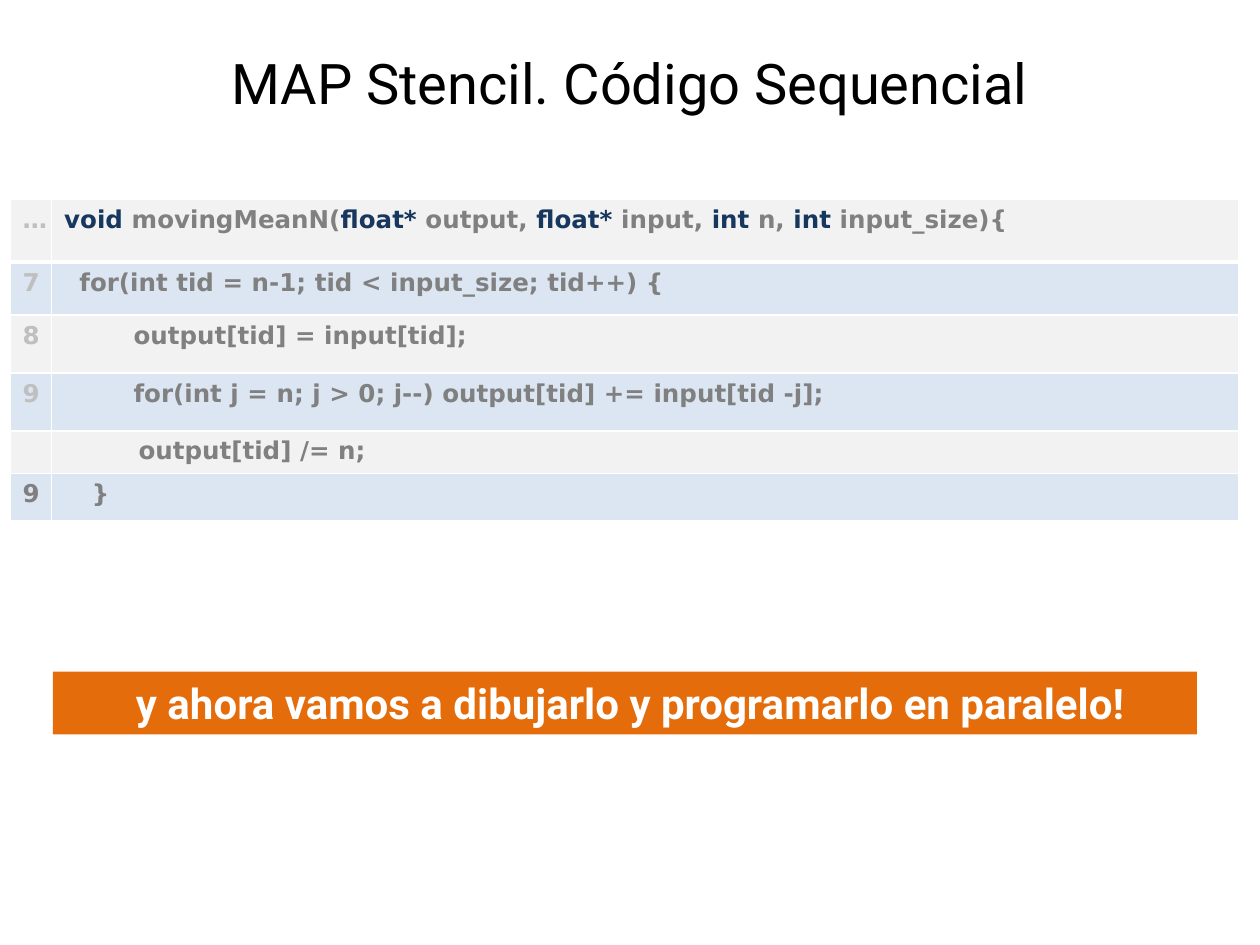
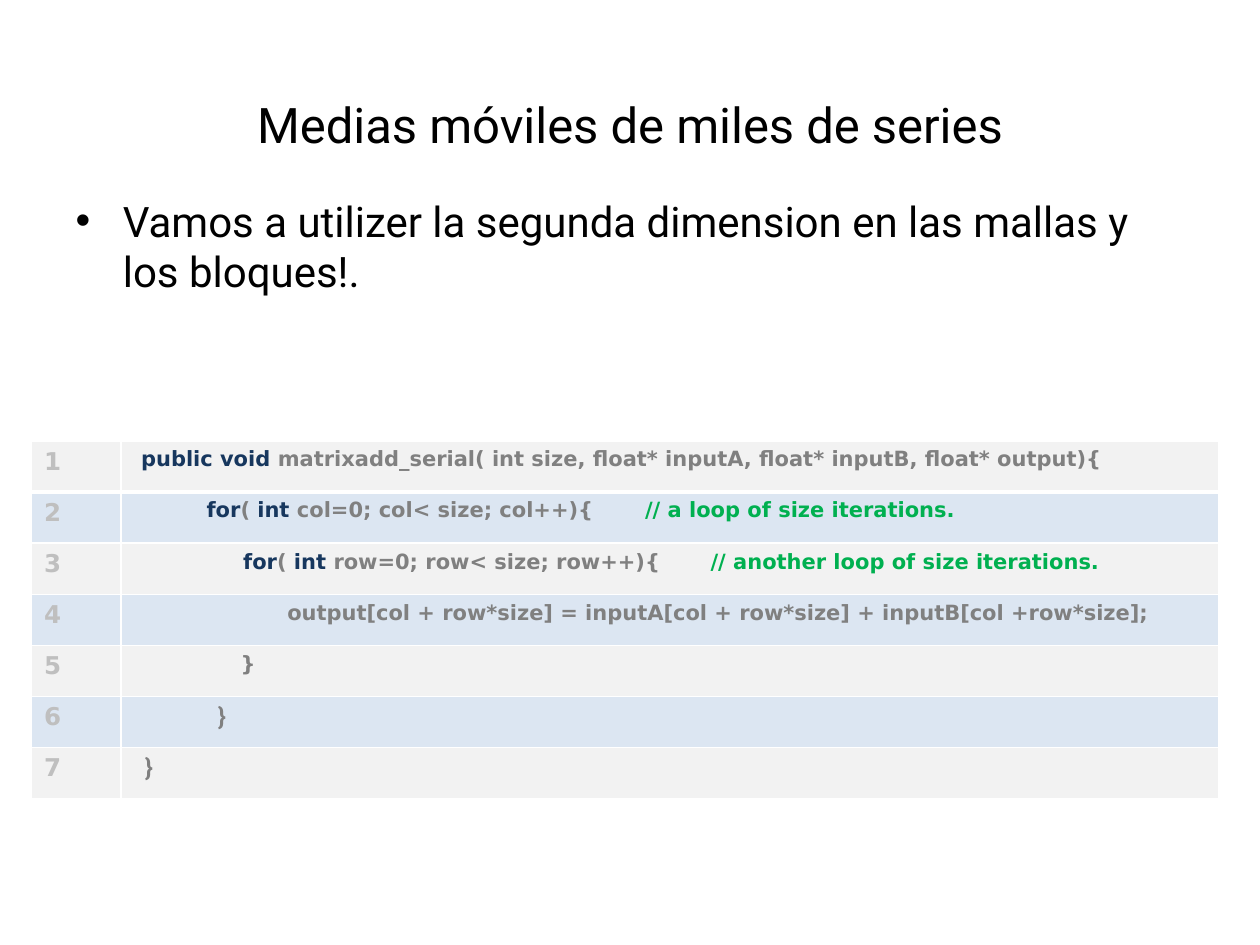
from dataclasses import dataclass

from lxml.etree import SubElement as sub
from pptx import Presentation
from pptx.dml.color import RGBColor as RGB
from pptx.enum.shapes import MSO_SHAPE as Shape
from pptx.enum.text import MSO_ANCHOR as Anchor, PP_ALIGN as Align
from pptx.oxml.ns import qn
from pptx.util import Inches, Pt


@dataclass(frozen=True)
class Theme:
    sans: str = "Roboto"
    mono: str = "DejaVu Sans"
    black: str = "000000"
    white: str = "FFFFFF"
    orange: str = "E46C0A"
    bands: tuple = ("F2F2F2", "DCE6F2")
    number: str = "BFBFBF"
    code: str = "808080"
    keyword: str = "17375E"
    note: str = "00B050"
    body: int = 24
    line: int = 14
    small: int = 12


T = Theme()


@dataclass(frozen=True)
class Line:
    """A row of code: `marks` enclose keywords, a tab starts the comment."""
    number: str
    code: str
    stops: tuple = ()
    face: str = T.mono
    size: int = T.line
    tint: str = T.number


MEAN = [
    Line("…", "`void `movingMeanN(`float*` output, `float* `input, "
         "`int `n, `int `input_size){"),
    Line("7", "for(int tid = n-1; tid < input_size; tid++) {", (0.12,)),
    Line("8", "output[tid] = input[tid];", (0.55,)),
    Line("9", "for(int j = n; j > 0; j--) output[tid] += input[tid -j];", (0.55,)),
    Line("", "output[tid] /= n;", (0.59,)),
    Line("9", "}", (0.22,), tint=T.code),
]
MATRIX = [
    Line("1", "`public void `matrixadd_serial( int size, float* inputA, "
         "float* inputB, float* output){", (0.06,), size=T.small),
    Line("2", "`for`(` int `col=0; col< size; col++){\t// a loop of size iterations.",
         (0.58, 4.06), size=T.small),
    Line("3", "`for`(` int `row=0; row< size; row++){\t// another loop of size iterations.",
         (0.87, 4.58), size=T.small),
    Line("4", "output[col + row*size] = inputA[col + row*size] + "
         "inputB[col +row*size];", (1.22,), size=T.small),
    Line("5", "}", (0.85,), size=T.small),
    Line("6", "}", (0.67,), face=T.sans),
    Line("7", "}", (0.09,), face=T.sans),
]


def style(run, face, size, color, bold=False):
    font = run.font
    font.name, font.size, font.bold = face, Pt(size), bold
    font.color.rgb = RGB.from_string(color)


def place(shape, left, top, width, height):
    shape.left, shape.top = Inches(left), Inches(top)
    shape.width, shape.height = Inches(width), Inches(height)


def write(shape, text, size, color, bold=False, align=None):
    para = shape.text_frame.paragraphs[0]
    para.text = text
    para.alignment = align
    style(para.runs[0], T.sans, size, color, bold)


def add_title(slide, text, top, height, size):
    title = slide.shapes.title
    place(title, 0.5, top, 9, height)
    title.text_frame.vertical_anchor = Anchor.MIDDLE
    write(title, text, size, T.black, align=Align.CENTER)


def add_body(slide, text):
    body = slide.placeholders[1]
    place(body, 0.5, 1.5, 9, 5.2)
    write(body, text, T.body, T.black)


def add_banner(slide, text):
    box = slide.shapes.add_shape(Shape.RECTANGLE, Inches(0.42), Inches(5.33),
                                 Inches(9.08), Inches(0.5))
    box.shadow.inherit = False
    box.fill.solid()
    box.fill.fore_color.rgb = RGB.from_string(T.orange)
    box.line.fill.background()
    frame = box.text_frame
    frame.word_wrap = True
    frame.vertical_anchor = Anchor.TOP
    frame.margin_left = Inches(0.18)
    write(box, text, T.body, T.white, True, Align.CENTER)


def paint(cell, row):
    """Fill a cell by its band and rule it; the edge under row 0 is thick."""
    props = cell._tc.get_or_add_tcPr()
    thick = {"T": row == 1, "B": row == 0}
    for side in "LRTB":
        width = Pt(3 if thick.get(side) else 1)
        edge = sub(props, qn(f"a:ln{side}"), w=str(width))
        sub(sub(edge, qn("a:solidFill")), qn("a:srgbClr"), val=T.white)
    cell.fill.solid()
    cell.fill.fore_color.rgb = RGB.from_string(T.bands[row % 2])


def set_stops(para, stops):
    tabs = sub(para._p.get_or_add_pPr(), qn("a:tabLst"))
    for stop in stops:
        sub(tabs, qn("a:tab"), pos=str(Inches(stop)), algn="l")


def add_run(para, text, line, color):
    run = para.add_run()
    run.text = text
    style(run, line.face, line.size, color, True)


def set_number(cell, line):
    para = cell.text_frame.paragraphs[0]
    if line.number:
        para.text = line.number
        style(para.runs[0], T.mono, T.line, line.tint, True)
    else:
        sub(para._p, qn("a:endParaRPr"), sz=str(T.line * 100))


def set_code(cell, line):
    para = cell.text_frame.paragraphs[0]
    code, tab, note = line.code.partition("\t")
    if line.stops:
        set_stops(para, line.stops)
        add_run(para, "\t", line, T.code)
    for i, part in enumerate(code.split("`")):
        if part:
            add_run(para, part, line, T.keyword if i % 2 else T.code)
    if note:
        add_run(para, tab + note, line, T.note)


def add_code(slide, lines, left, top, widths, heights):
    frame = slide.shapes.add_table(len(lines), 2, Inches(left), Inches(top),
                                   Inches(sum(widths)), Inches(sum(heights)))
    table = frame.table
    for col, width in zip(table.columns, widths):
        col.width = Inches(width)
    for i, (line, height) in enumerate(zip(lines, heights)):
        table.rows[i].height = Inches(height)
        for j, fill_in in enumerate((set_number, set_code)):
            cell = table.cell(i, j)
            paint(cell, i)
            fill_in(cell, line)


def main():
    deck = Presentation()
    deck.slide_width, deck.slide_height = Inches(10), Inches(7.5)
    layouts = deck.slide_layouts

    mean = deck.slides.add_slide(layouts[5])
    add_title(mean, "MAP Stencil. Código Sequencial", 0.3, 0.7, 32)
    add_code(mean, MEAN, 0.08, 1.58, (0.33, 9.42),
             (0.5, 0.42, 0.46, 0.46, 0.33, 0.38))
    add_banner(mean, "y ahora vamos a dibujarlo y programarlo en paralelo!")

    series = deck.slides.add_slide(layouts[1])
    add_title(series, "Medias móviles de miles de series", 0.67, 0.62, 28)
    add_body(series, "Vamos a utilizer la segunda dimension en las mallas "
             "y los bloques!.")
    add_code(series, MATRIX, 0.25, 3.5, (0.71, 8.71),
             [2.84 / len(MATRIX)] * len(MATRIX))

    deck.save("out.pptx")


if __name__ == "__main__":
    main()
